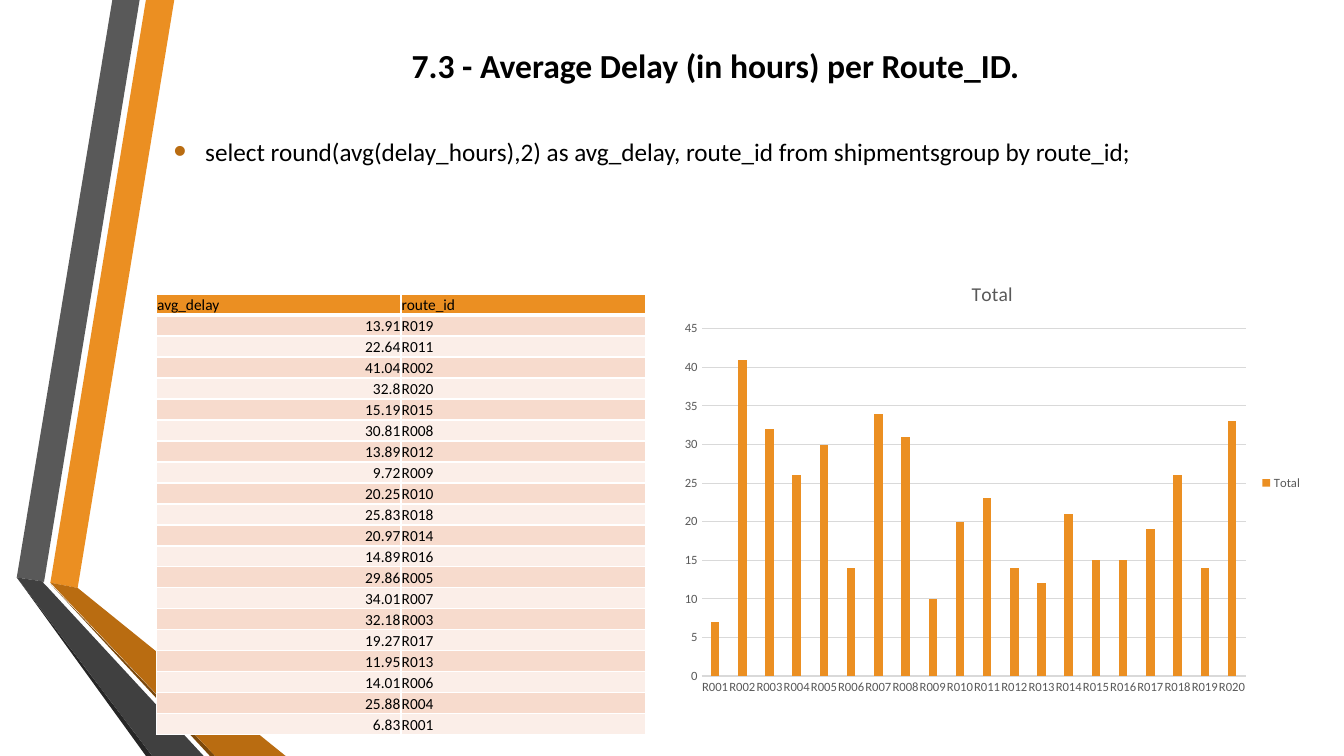
from lxml import etree
from pptx import Presentation
from pptx.chart.data import CategoryChartData
from pptx.dml.color import RGBColor
from pptx.enum.chart import XL_CHART_TYPE, XL_LEGEND_POSITION, XL_TICK_MARK
from pptx.enum.text import MSO_ANCHOR, PP_ALIGN
from pptx.oxml import parse_xml
from pptx.oxml.ns import nsdecls, qn
from pptx.util import Pt

PX = 9525
FONT = "Calibri"
COLUMN = XL_CHART_TYPE.COLUMN_CLUSTERED
LEGEND_RIGHT = XL_LEGEND_POSITION.RIGHT
NO_TICK = XL_TICK_MARK.NONE
MIDDLE, BOTTOM = MSO_ANCHOR.MIDDLE, MSO_ANCHOR.BOTTOM
LEFT, CENTER, RIGHT = PP_ALIGN.LEFT, PP_ALIGN.CENTER, PP_ALIGN.RIGHT

BLACK = RGBColor(0x00, 0x00, 0x00)
ORANGE = RGBColor(0xEB, 0x8F, 0x22)
DARK_ORANGE = RGBColor(0xB9, 0x6C, 0x11)
BROWN = RGBColor(0x7B, 0x48, 0x0B)
GRAY = RGBColor(0x59, 0x59, 0x59)
CHARCOAL = RGBColor(0x40, 0x40, 0x40)
NEAR_BLACK = RGBColor(0x26, 0x26, 0x26)
GRID_GRAY = RGBColor(0xD9, 0xD9, 0xD9)
BAND_DARK = RGBColor(0xF7, 0xDB, 0xCD)
BAND_LIGHT = RGBColor(0xFB, 0xEE, 0xE8)

RIBBONS = [
    (ORANGE, [(48, 555), (74, 560), (166, 0), (139, 0)]),
    (GRAY, [(133, 0), (107, 0), (16, 550), (42, 554)]),
    (NEAR_BLACK, [(16, 550), (139, 720), (145, 720)]),
    (BROWN, [(48, 556), (200, 720), (205, 720)]),
    (DARK_ORANGE, [(48, 555), (205, 720), (272, 720), (74, 560)]),
    (CHARCOAL, [(194, 720), (46, 560), (41, 555), (42, 554), (16, 550), (145, 720)]),
]
DELAYS = [
    ("13.91", "R019"), ("22.64", "R011"), ("41.04", "R002"), ("32.8", "R020"),
    ("15.19", "R015"), ("30.81", "R008"), ("13.89", "R012"), ("9.72", "R009"),
    ("20.25", "R010"), ("25.83", "R018"), ("20.97", "R014"), ("14.89", "R016"),
    ("29.86", "R005"), ("34.01", "R007"), ("32.18", "R003"), ("19.27", "R017"),
    ("11.95", "R013"), ("14.01", "R006"), ("25.88", "R004"), ("6.83", "R001"),
]


def style_font(font, size, color, bold=False):
    font.name = FONT
    font.size = Pt(size)
    font.bold = bold
    font.color.rgb = color


def add_text(left, top, width, height, text):
    box = page.shapes.add_textbox(left * PX, top * PX, width * PX, height * PX)
    frame = box.text_frame
    frame.word_wrap = True
    frame.vertical_anchor = MIDDLE
    frame.text = text
    return frame.paragraphs[0]


deck = Presentation()
deck.slide_width = 1280 * PX
deck.slide_height = 720 * PX
page = deck.slides.add_slide(deck.slide_layouts[6])

for color, points in RIBBONS:
    builder = page.shapes.build_freeform(*points[0], scale=PX)
    builder.add_line_segments(points[1:], close=True)
    ribbon = builder.convert_to_shape()
    ribbon.shadow.inherit = False
    ribbon.fill.solid()
    ribbon.fill.fore_color.rgb = color
    ribbon.line.fill.background()

title = add_text(156, 33, 1051, 58, "7.3 - Average Delay (in hours) per Route_ID.")
title.alignment = CENTER
style_font(title.runs[0].font, 24, BLACK, True)

query = add_text(
    156, 115, 980, 58,
    "select round(avg(delay_hours),2) as avg_delay, route_id from shipmentsgroup by route_id;",
)
query.space_after = Pt(6)
properties = query._p.get_or_add_pPr()
properties.set("marL", str(30 * PX))
properties.set("indent", str(-30 * PX))
bullet_color = etree.SubElement(properties, qn("a:buClr"))
etree.SubElement(bullet_color, qn("a:srgbClr"), val=str(DARK_ORANGE))
etree.SubElement(properties, qn("a:buSzPct"), val="145000")
etree.SubElement(properties, qn("a:buFont"), typeface="Arial")
etree.SubElement(properties, qn("a:buChar"), char="•")
style_font(query.runs[0].font, 18, BLACK)

rows = [("avg_delay", "route_id")] + DELAYS
table = page.shapes.add_table(
    len(rows), 2, 149 * PX, 280 * PX, 466 * PX, 20 * len(rows) * PX
).table
for column in table.columns:
    column.width = 233 * PX
for row_index, values in enumerate(rows):
    table.rows[row_index].height = 20 * PX
    if row_index == 0:
        fill_color = ORANGE
    else:
        fill_color = BAND_DARK if row_index % 2 else BAND_LIGHT
    for column_index, value in enumerate(values):
        cell = table.cell(row_index, column_index)
        cell.margin_left = cell.margin_right = cell.margin_top = Pt(0.5)
        cell.margin_bottom = 0
        cell.vertical_anchor = BOTTOM
        for side in "LRTB":
            header_edge = (row_index, side) in ((0, "B"), (1, "T"))
            border_width = Pt(3 if header_edge else 1)
            cell._tc.get_or_add_tcPr().append(parse_xml(
                f'<a:ln{side} {nsdecls("a")} w="{border_width}"><a:solidFill>'
                f'<a:srgbClr val="FFFFFF"/></a:solidFill></a:ln{side}>'
            ))
        cell.fill.solid()
        cell.fill.fore_color.rgb = fill_color
        cell.text_frame.text = value
        para = cell.text_frame.paragraphs[0]
        para.alignment = RIGHT if row_index and column_index == 0 else LEFT
        style_font(para.runs[0].font, 11, BLACK)

by_route = sorted((route, round(float(delay))) for delay, route in DELAYS)
chart_data = CategoryChartData()
chart_data.categories = [route for route, delay in by_route]
chart_data.add_series("Total", [delay for route, delay in by_route])
chart = page.shapes.add_chart(
    COLUMN, 640 * PX, 250 * PX, 610 * PX, 420 * PX, chart_data
).chart
style_font(chart.font, 10, BLACK)
chart.has_title = True
chart.chart_title.include_in_layout = False
chart.chart_title.text_frame.text = "Total"
style_font(chart.chart_title.text_frame.paragraphs[0].runs[0].font, 14, GRAY)
chart.has_legend = True
chart.legend.position = LEGEND_RIGHT
chart.legend.include_in_layout = False
style_font(chart.legend.font, 9, GRAY)

plot = chart.plots[0]
plot.vary_by_categories = False
plot.gap_width = 219
plot.overlap = -27
bars = plot.series[0]
bars.format.fill.solid()
bars.format.fill.fore_color.rgb = ORANGE

for axis in (chart.category_axis, chart.value_axis):
    axis.major_tick_mark = NO_TICK
    axis.minor_tick_mark = NO_TICK
    style_font(axis.tick_labels.font, 9, GRAY)
delay_axis = chart.value_axis
delay_axis.minimum_scale = 0
delay_axis.maximum_scale = 45
delay_axis.major_unit = 5
delay_axis.format.line.fill.background()
delay_axis.has_major_gridlines = True
for line in (chart.category_axis.format.line, delay_axis.major_gridlines.format.line):
    line.color.rgb = GRID_GRAY
    line.width = Pt(0.75)

deck.save("out.pptx")
